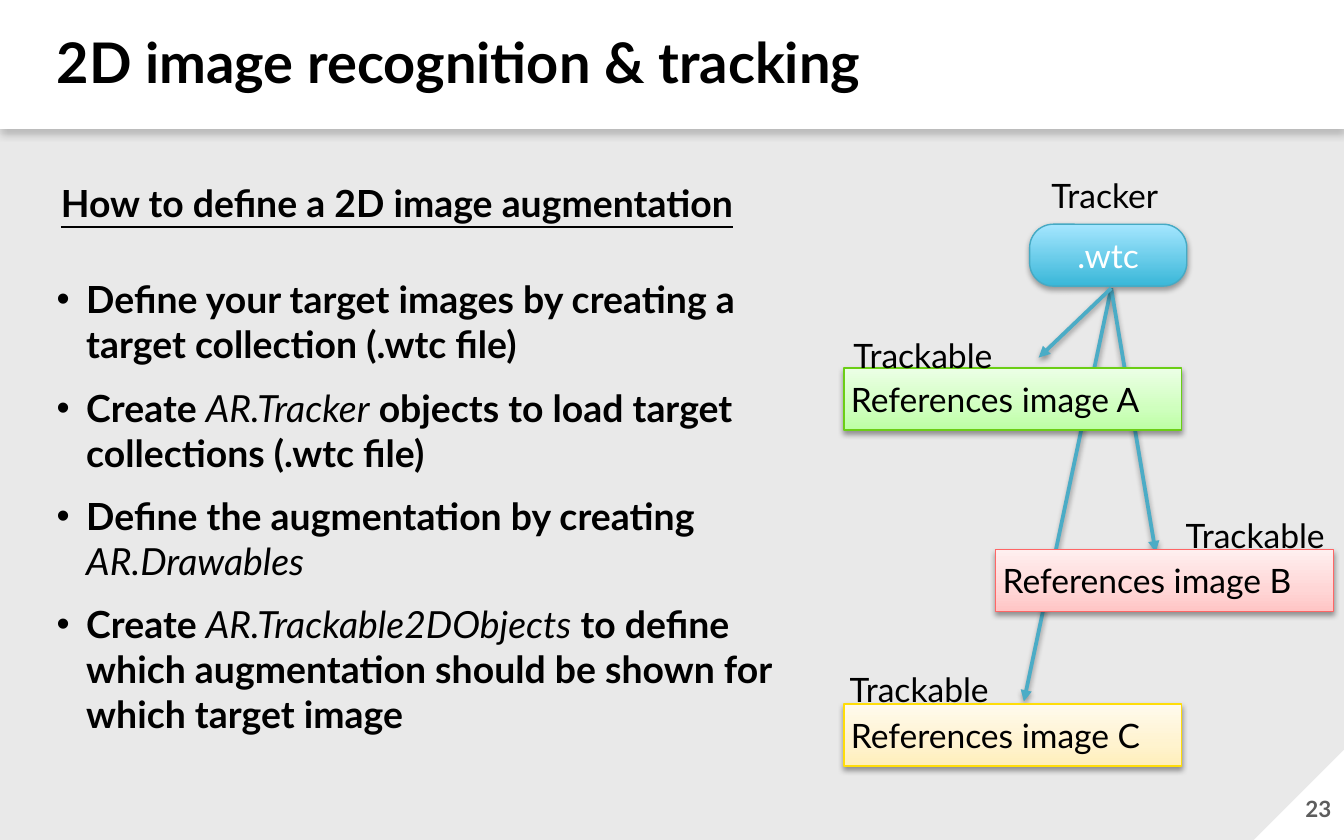
from lxml.etree import SubElement
from pptx import Presentation
from pptx.dml.color import RGBColor
from pptx.enum.shapes import MSO_CONNECTOR, MSO_SHAPE
from pptx.enum.text import MSO_ANCHOR, MSO_AUTO_SIZE, PP_ALIGN
from pptx.oxml.ns import qn
from pptx.util import Cm, Pt

BLACK = RGBColor(0x00, 0x00, 0x00)
WHITE = RGBColor(0xFF, 0xFF, 0xFF)
GREY = RGBColor(0x5D, 0x5D, 0x5D)
BACKDROP = RGBColor(0xE9, 0xE9, 0xE9)
ARROW = RGBColor(0x4B, 0xAC, 0xC6)
BLUE_EDGE = RGBColor(0x46, 0xAA, 0xC4)
GREEN_EDGE = RGBColor(0x6B, 0xCE, 0x15)
RED_EDGE = RGBColor(0xFF, 0x66, 0x66)
YELLOW_EDGE = RGBColor(0xFF, 0xDD, 0x09)
BLUES = [(0, RGBColor(0x39, 0xB7, 0xD8)), (100, RGBColor(0xA5, 0xE6, 0xFF))]
GREENS = [(0, RGBColor(0xBC, 0xFF, 0xA4)), (35, RGBColor(0xCF, 0xFF, 0xBE)),
          (100, RGBColor(0xEC, 0xFF, 0xE6))]
REDS = [(0, RGBColor(0xFF, 0xC5, 0xC5)), (35, RGBColor(0xFF, 0xD6, 0xD6)),
        (100, RGBColor(0xFF, 0xEF, 0xEF))]
YELLOWS = [(0, RGBColor(0xFF, 0xEF, 0xBA)), (35, RGBColor(0xFF, 0xF3, 0xCF)),
           (100, RGBColor(0xFF, 0xFA, 0xED))]

FONT = "Lato"
WIDTH, HEIGHT, CORNER = 25.4, 15.88, 1.7
BOX_W, BOX_H, INSET = 6.38, 1.17, 0.13

TITLE = "2D image recognition & tracking"
HEADING = "How to define a 2D image augmentation"
PAGE = "23"
STEPS = [
    [("Define your target images by creating a target collection (.wtc file)", False)],
    [("Create ", False), ("AR.Tracker", True),
     (" objects to load target collections (.wtc file)", False)],
    [("Define the augmentation by creating ", False), ("AR.Drawables", True)],
    [("Create ", False), ("AR.Trackable2DObjects", True),
     (" to define which augmentation should be shown for which target image", False)],
]
REFERENCES = [
    ("References image A", 15.95, 6.96, GREENS, GREEN_EDGE),
    ("References image B", 18.82, 10.39, REDS, RED_EDGE),
    ("References image C", 15.95, 13.31, YELLOWS, YELLOW_EDGE),
]
LABELS = [
    ("Tracker", 19.74, 3.18, 2.41),
    ("Trackable", 16.0, 6.2, 3.05),
    ("Trackable", 22.28, 9.6, 3.05),
    ("Trackable", 15.93, 12.52, 3.05),
]
ARROW_START = (21.0, 5.45)
ARROWS_BEHIND = [(19.35, 13.26), (21.84, 10.44)]
ARROW_FRONT = (19.63, 6.76)


def place(shape, left, top, width, height):
    shape.left, shape.top = Cm(left), Cm(top)
    shape.width, shape.height = Cm(width), Cm(height)


def set_shadow(shape, opacity=38, blur=3, distance=1.6):
    effects = SubElement(shape._element.spPr, qn("a:effectLst"))
    outer = SubElement(effects, qn("a:outerShdw"), blurRad=str(Pt(blur)),
                       dist=str(Pt(distance)), dir="5400000", rotWithShape="0")
    color = SubElement(outer, qn("a:srgbClr"), val=str(BLACK))
    SubElement(color, qn("a:alpha"), val=str(opacity * 1000))


def set_gradient(shape, stops):
    shape.fill.gradient()
    shape.fill.gradient_angle = 90
    stop_list = shape._element.spPr.find(".//" + qn("a:gsLst"))
    for old_stop in list(stop_list):
        stop_list.remove(old_stop)
    for position, color in stops:
        stop = SubElement(stop_list, qn("a:gs"), pos=str(position * 1000))
        SubElement(stop, qn("a:srgbClr"), val=str(color))


def style_font(font, size, color=BLACK, bold=False):
    font.name, font.size, font.bold = FONT, Pt(size), bold
    font.color.rgb = color


def set_frame(frame, inset, anchor=MSO_ANCHOR.TOP, wrap=True):
    frame.margin_left = frame.margin_right = Cm(inset)
    frame.margin_top = frame.margin_bottom = Cm(inset)
    frame.vertical_anchor, frame.word_wrap = anchor, wrap
    frame.auto_size = MSO_AUTO_SIZE.NONE if wrap else MSO_AUTO_SIZE.SHAPE_TO_FIT_TEXT


def write(shape, text, size, color=BLACK, bold=False, align=PP_ALIGN.LEFT):
    shape.text_frame.text = text
    paragraph = shape.text_frame.paragraphs[0]
    paragraph.alignment = align
    style_font(paragraph.runs[0].font, size, color, bold)
    return paragraph.runs[0]


def add_label(text, box, size, inset=INSET, anchor=MSO_ANCHOR.TOP, **style):
    label = slide.shapes.add_textbox(*map(Cm, box))
    set_frame(label.text_frame, inset, anchor, wrap=False)
    return write(label, text, size, **style)


def add_box(kind, text, box, stops, edge, color=BLACK, align=PP_ALIGN.LEFT, opacity=38):
    shape = slide.shapes.add_shape(kind, *map(Cm, box))
    set_gradient(shape, stops)
    shape.line.color.rgb, shape.line.width = edge, Pt(0.75)
    set_shadow(shape, opacity)
    set_frame(shape.text_frame, INSET, MSO_ANCHOR.MIDDLE)
    write(shape, text, 18, color, align=align)
    return shape


def add_arrow(end):
    arrow = slide.shapes.add_connector(MSO_CONNECTOR.STRAIGHT, *map(Cm, ARROW_START + end))
    arrow.line.color.rgb, arrow.line.width = ARROW, Pt(2)
    SubElement(arrow.line._get_or_add_ln(), qn("a:tailEnd"), type="triangle")
    set_shadow(arrow)


deck = Presentation()
deck.slide_width, deck.slide_height = Cm(WIDTH), Cm(HEIGHT)
slide = deck.slides.add_slide(deck.slide_layouts[1])
slide.background.fill.solid()
slide.background.fill.fore_color.rgb = BACKDROP
title, steps = slide.placeholders

banner = slide.shapes.add_shape(MSO_SHAPE.RECTANGLE, 0, 0, Cm(WIDTH), Cm(2.44))
outline = slide.shapes.build_freeform(Cm(WIDTH), Cm(HEIGHT))
outline.add_line_segments([(Cm(WIDTH), Cm(HEIGHT - CORNER)), (Cm(WIDTH - CORNER), Cm(HEIGHT))])
corner = outline.convert_to_shape()
for panel in (banner, corner):
    panel.fill.solid()
    panel.fill.fore_color.rgb = WHITE
    panel.line.fill.background()
corner.shadow.inherit = False
set_shadow(banner, 20, 4, 3)

for end in ARROWS_BEHIND:
    add_arrow(end)

for placeholder in (title, steps):
    slide.shapes._spTree.append(placeholder._element)
place(title, 1.07, 0.25, 18.4, 1.8)
set_frame(title.text_frame, 0, MSO_ANCHOR.MIDDLE)
write(title, TITLE, 30, bold=True)
add_label(PAGE, (24.66, 15.04, 0.51, 0.48), 12, 0, MSO_ANCHOR.MIDDLE,
          color=GREY, bold=True, align=PP_ALIGN.CENTER)

place(steps, 1.07, 5.23, 14.35, 9.32)
set_frame(steps.text_frame, 0)
for index, parts in enumerate(STEPS):
    step = steps.text_frame.add_paragraph() if index else steps.text_frame.paragraphs[0]
    properties = step._p.get_or_add_pPr()
    properties.set("marL", str(Cm(0.56)))
    properties.set("indent", str(Cm(-0.56)))
    SubElement(properties, qn("a:buFont"), typeface="Arial")
    SubElement(properties, qn("a:buChar"), char="•")
    step.space_before = Pt(10 if index else 0)
    for text, is_code in parts:
        run = step.add_run()
        run.text = text
        style_font(run.font, 20, bold=not is_code)
        run.font.italic = is_code

collection = add_box(MSO_SHAPE.ROUNDED_RECTANGLE, ".wtc", (19.46, 4.24, 2.97, BOX_H),
                     BLUES, BLUE_EDGE, WHITE, PP_ALIGN.CENTER, 35)
collection.adjustments[0] = 0.38
for text, left, top, stops, edge in REFERENCES:
    add_box(MSO_SHAPE.RECTANGLE, text, (left, top, BOX_W, BOX_H), stops, edge)
add_arrow(ARROW_FRONT)

for text, left, top, width in LABELS:
    add_label(text, (left, top, width, 1.04), 18)
heading = add_label(HEADING, (1.02, 3.28, 13.67, 1.09), 20, bold=True)
heading.font.underline = True

deck.save("out.pptx")
